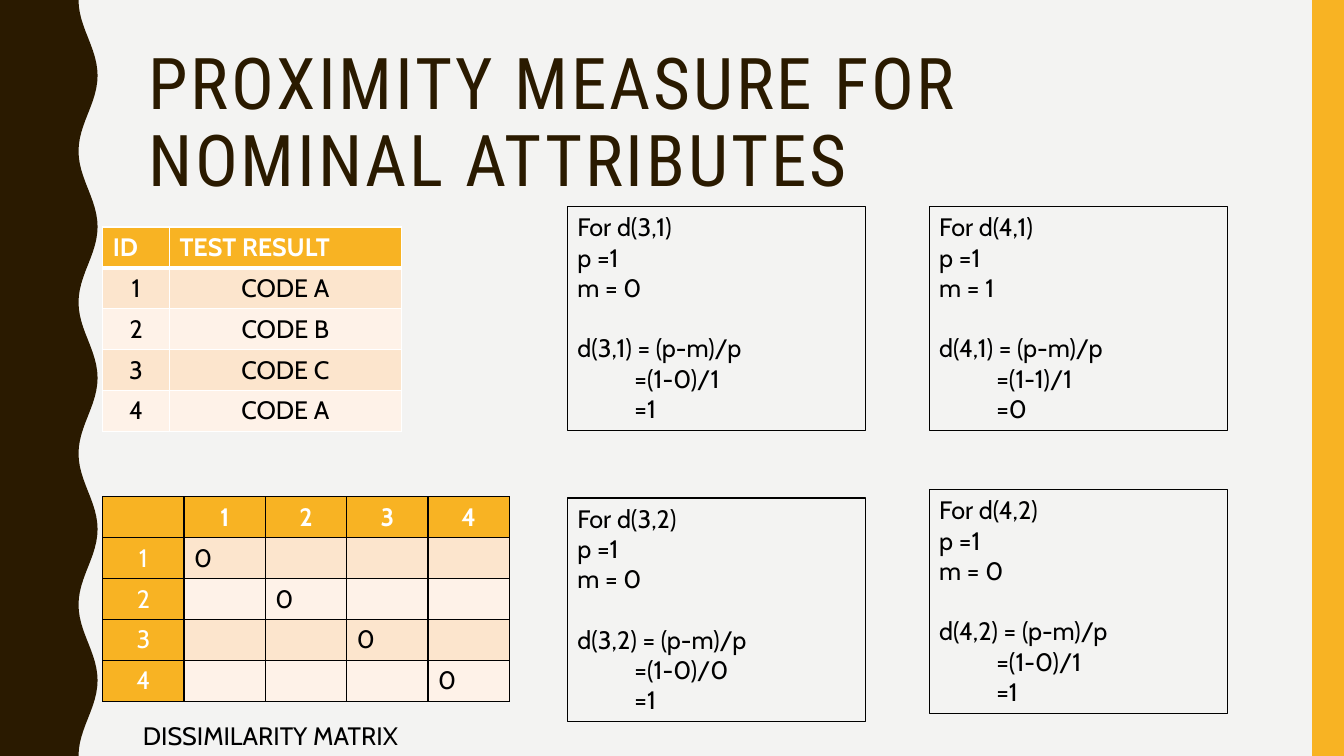
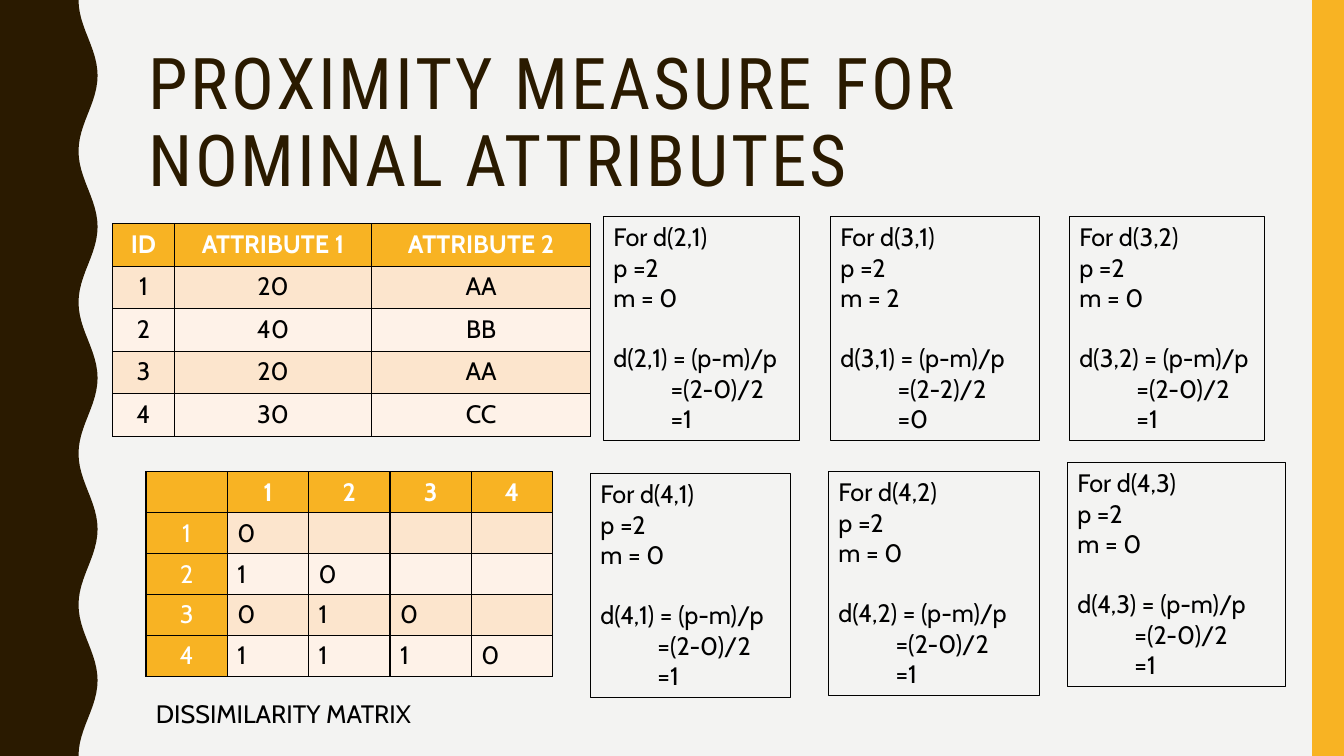
from dataclasses import dataclass
from math import cos, pi

from lxml.etree import SubElement
from pptx import Presentation
from pptx.dml.color import RGBColor
from pptx.enum.shapes import MSO_SHAPE
from pptx.enum.text import MSO_ANCHOR, MSO_AUTO_SIZE, PP_ALIGN
from pptx.oxml.ns import qn
from pptx.util import Cm, Pt

TITLE = "PROXIMITY MEASURE FOR NOMINAL ATTRIBUTES"


@dataclass(frozen=True)
class Theme:
    back: str = "F3F3F2"
    dark: str = "2A1A00"
    gold: str = "F8B323"
    ink: str = "000000"
    white: str = "FFFFFF"
    bands: tuple = ("FEF2E8", "FCE5CD")
    head: str = "Roboto Condensed"
    body: str = "Cabin"
    big: float = 51
    text: float = 18
    wide: float = 33.87
    high: float = 19.05


def paint(fill, color):
    fill.solid()
    fill.fore_color.rgb = RGBColor.from_string(color)


def border(cell, widths, color):
    """Rule the cell's edges; widths maps L, R, T and B to points."""
    prop = cell._tc.get_or_add_tcPr()
    for edge, width in widths.items():
        line = SubElement(prop, qn(f"a:ln{edge}"), w=str(Pt(width)))
        fill = SubElement(line, qn("a:solidFill"))
        SubElement(fill, qn("a:srgbClr"), val=color)


class Deck:
    def __init__(self, theme):
        self.theme = theme
        self.file = Presentation()
        self.file.slide_width = Cm(theme.wide)
        self.file.slide_height = Cm(theme.high)
        self.plan = self.file.slide_layouts[5]
        name = self.plan.placeholders[0]
        name.left, name.top = Cm(3.48), Cm(1.07)
        name.width, name.height = Cm(28.27), Cm(4.14)
        self.slide = None

    def trim(self):
        """Give the master its background, wavy edge and gold bar."""
        theme, shapes = self.theme, self.slide.shapes
        master = self.file.slide_master
        paint(master.background.fill, theme.back)
        steps, waves = 120, 5
        edge = [(Cm(2.22 - 0.24 * cos(2 * pi * waves * i / steps)),
                 Cm(theme.high * i / steps)) for i in range(steps + 1)]
        path = shapes.build_freeform(0, 0)
        path.add_line_segments(edge + [(0, Cm(theme.high))], close=True)
        wave = path.convert_to_shape()
        bar = shapes.add_shape(MSO_SHAPE.RECTANGLE, Cm(33.07), 0,
                               Cm(0.8), Cm(theme.high))
        tree = master.shapes.element
        for i, (part, color) in enumerate(((wave, theme.dark), (bar, theme.gold))):
            part.shadow.inherit = False
            part.line.fill.background()
            paint(part.fill, color)
            part.element.nvSpPr.cNvPr.set("id", str(101 + i))
            tree.insert(2 + i, part.element)

    def style(self, par, color, align=PP_ALIGN.LEFT, bold=False):
        theme, par.alignment = self.theme, align
        par.font.name, par.font.size = theme.body, Pt(theme.text)
        par.font.bold = bold
        par.font.color.rgb = RGBColor.from_string(color)

    def open(self, title):
        """Start a slide and set its title."""
        theme = self.theme
        self.slide = self.file.slides.add_slide(self.plan)
        if len(self.file.slides) == 1:
            self.trim()
        frame = self.slide.shapes.title.text_frame
        frame.text = title
        frame.auto_size = MSO_AUTO_SIZE.NONE
        frame.vertical_anchor = MSO_ANCHOR.MIDDLE
        par = frame.paragraphs[0]
        self.style(par, theme.dark)
        par.line_spacing = 0.9
        par.font.name, par.font.size = theme.head, Pt(theme.big)
        par._p.pPr.find(qn("a:defRPr")).set("spc", "200")

    def label(self, x, y, text):
        box = self.slide.shapes.add_textbox(Cm(x), Cm(y), Cm(9.35), Cm(1.02))
        box.text_frame.word_wrap = True
        box.text_frame.text = text
        self.style(box.text_frame.paragraphs[0], self.theme.ink)

    def proof(self, x, y, wide, pair, p, m, base=None):
        """Box that works out d(pair) from p attributes and m matches."""
        box = self.slide.shapes.add_shape(
            MSO_SHAPE.RECTANGLE, Cm(x), Cm(y), Cm(wide), Cm(5.64))
        box.shadow.inherit = False
        box.fill.background()
        paint(box.line.fill, self.theme.ink)
        box.line.width = Pt(0.75)
        frame = box.text_frame
        frame.word_wrap = True
        frame.auto_size = MSO_AUTO_SIZE.SHAPE_TO_FIT_TEXT
        frame.vertical_anchor = MSO_ANCHOR.TOP
        base = p if base is None else base
        frame.text = "\n".join((
            f"For d({pair})", f"p ={p}", f"m = {m}", f"d({pair}) = (p-m)/p",
            f"=({p}-{m})/{base}", f"={(p - m) // p}"))
        for par in frame.paragraphs:
            self.style(par, self.theme.ink)
            if par.text.startswith("="):
                par._p.pPr.set("marL", str(Cm(1.44)))
        frame.paragraphs[3].space_before = Pt(21.6)

    def grid(self, x, y, cols, high, rows, rule, side=False, thick=1,
             head=PP_ALIGN.CENTER):
        """Table with a gold head row and, with side, a gold first column."""
        theme = self.theme
        table = self.slide.shapes.add_table(
            len(rows), len(cols), Cm(x), Cm(y),
            Cm(sum(cols)), Cm(high * len(rows))).table
        table.horz_banding = False
        for col, wide in zip(table.columns, cols):
            col.width = Cm(wide)
        for r, row in enumerate(rows):
            table.rows[r].height = Cm(high)
            for c, text in enumerate(row):
                cell = table.cell(r, c)
                gold = r == 0 or side and c == 0
                border(cell, {"L": 1, "R": 1, "T": thick if r == 1 else 1,
                              "B": thick if r == 0 else 1}, rule)
                paint(cell.fill, theme.gold if gold else theme.bands[r % 2])
                cell.text = text
                align = PP_ALIGN.LEFT if side and not gold else PP_ALIGN.CENTER
                self.style(cell.text_frame.paragraphs[0],
                           theme.white if gold else theme.ink,
                           head if r == 0 else align, r == 0)

    def matrix(self, x, y, rows):
        """Square matrix from strings with one sign per cell."""
        size = len(rows)
        names = [str(i + 1) for i in range(size)]
        cells = [["", *names]]
        cells += [[name, *(sign.strip() for sign in row.ljust(size))]
                  for name, row in zip(names, rows)]
        self.grid(x, y, [2.05] * (size + 1), 1.03, cells, self.theme.ink, True)


def main():
    theme = Theme()
    deck = Deck(theme)

    deck.open(TITLE)
    deck.matrix(2.59, 12.52, ["0", " 0", "  0", "   0"])
    deck.grid(2.59, 5.72, [1.68, 5.84], 1.03,
              [("ID", "TEST RESULT"), ("1", "CODE A"), ("2", "CODE B"),
               ("3", "CODE C"), ("4", "CODE A")],
              theme.white, thick=3, head=PP_ALIGN.LEFT)
    for proof in ((14.3, 5.21, 7.52, "3,1", 1, 0),
                  (23.42, 5.21, 7.52, "4,1", 1, 1),
                  (14.3, 12.55, 7.52, "3,2", 1, 0, 0),
                  (23.42, 12.34, 7.52, "4,2", 1, 0)):
        deck.proof(*proof)
    deck.label(3.35, 18.03, "DISSIMILARITY MATRIX")

    deck.open(TITLE)
    deck.grid(2.84, 5.64, [1.55, 4.98, 5.51], 1.07,
              [("ID", "ATTRIBUTE 1", "ATTRIBUTE 2"), ("1", "20", "AA"),
               ("2", "40", "BB"), ("3", "20", "AA"), ("4", "30", "CC")],
              theme.ink)
    deck.matrix(3.68, 11.89, ["0", "10", "010", "1110"])
    for proof in ((15.21, 5.46, 4.93, "2,1", 2, 0),
                  (20.93, 5.46, 5.26, "3,1", 2, 2),
                  (26.95, 5.46, 4.93, "3,2", 2, 0),
                  (14.88, 11.94, 5.05, "4,1", 2, 0),
                  (20.88, 11.89, 5.31, "4,2", 2, 0),
                  (26.9, 11.66, 5.49, "4,3", 2, 0)):
        deck.proof(*proof)
    deck.label(3.68, 17.48, "DISSIMILARITY MATRIX")

    deck.file.save("out.pptx")


if __name__ == "__main__":
    main()
